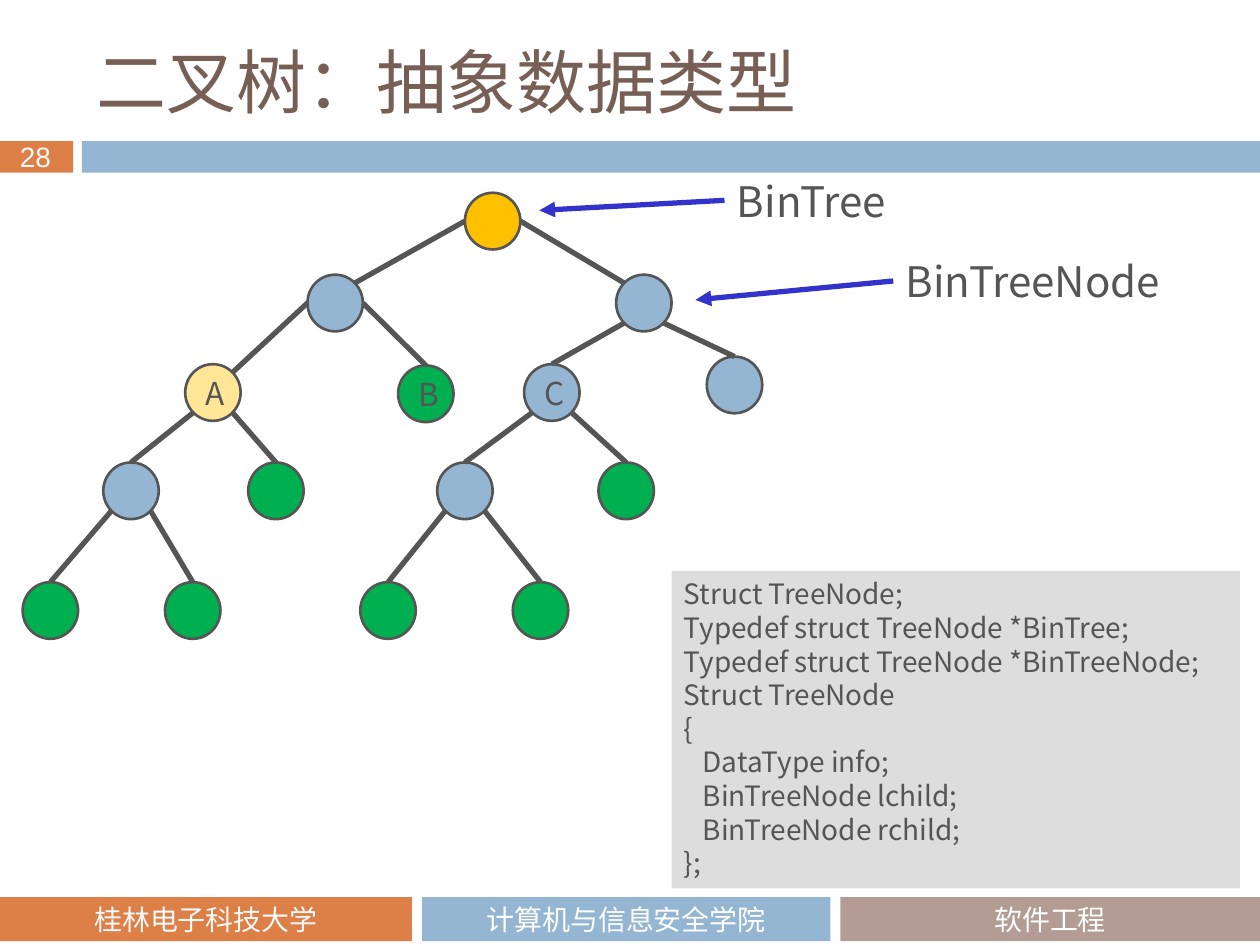
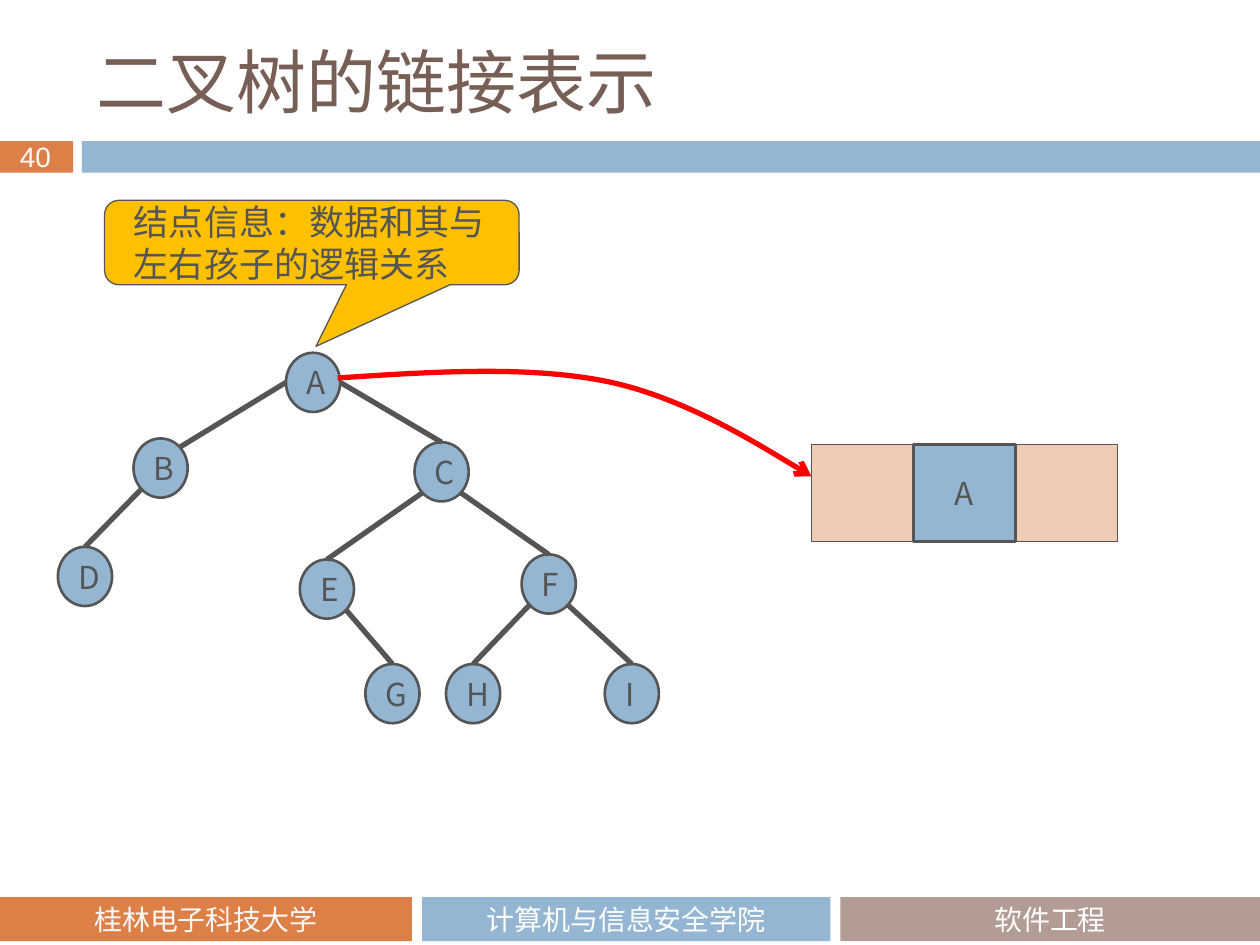
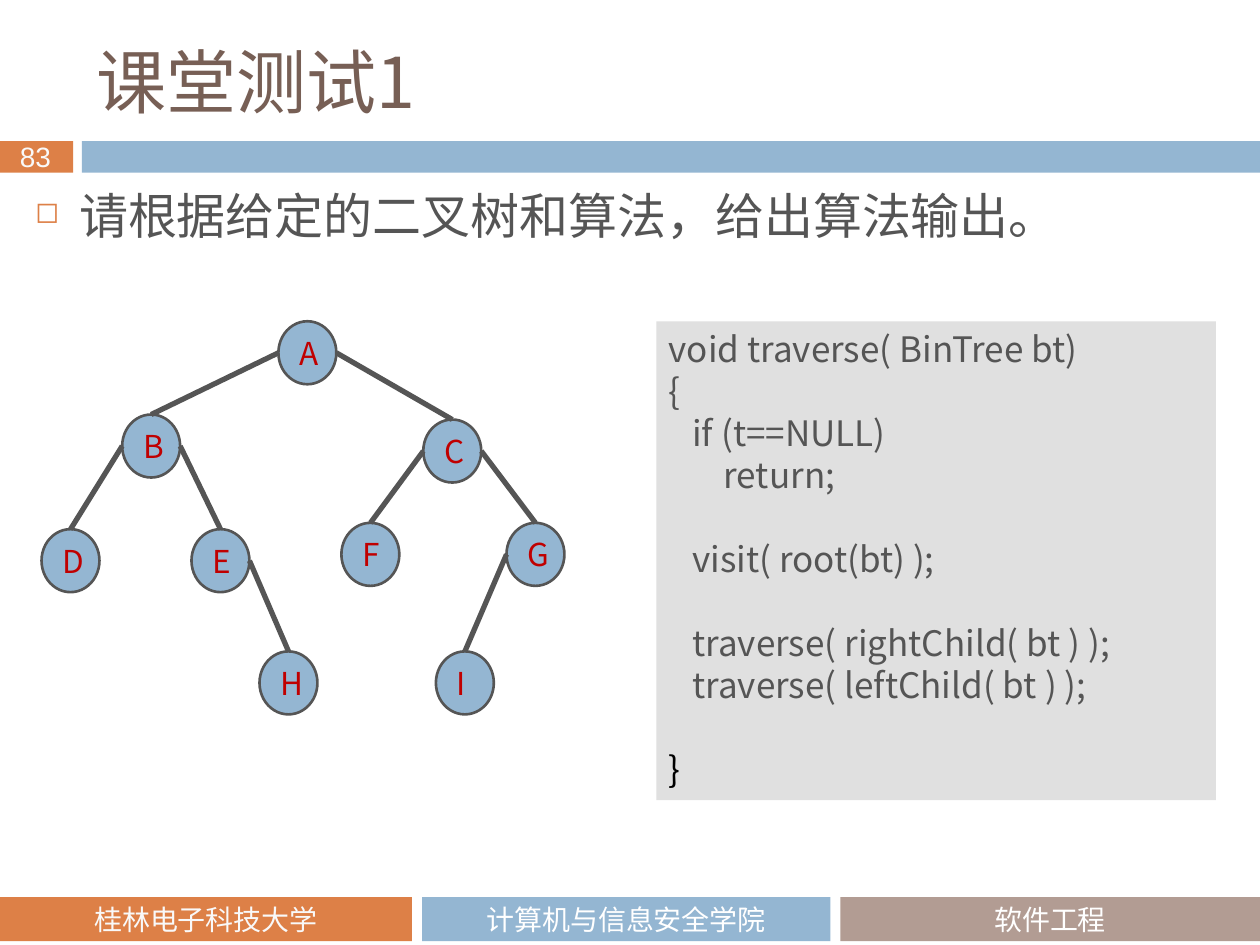
from lxml import etree
from pptx import Presentation
from pptx.dml.color import RGBColor
from pptx.enum.shapes import MSO_CONNECTOR, MSO_SHAPE
from pptx.enum.text import MSO_ANCHOR, PP_ALIGN
from pptx.oxml.ns import qn
from pptx.util import Inches, Pt

RECT = MSO_SHAPE.RECTANGLE
OVAL = MSO_SHAPE.OVAL
CALLOUT = MSO_SHAPE.ROUNDED_RECTANGULAR_CALLOUT
STRAIGHT = MSO_CONNECTOR.STRAIGHT
TOP, MIDDLE = MSO_ANCHOR.TOP, MSO_ANCHOR.MIDDLE
LEFT, CENTER = PP_ALIGN.LEFT, PP_ALIGN.CENTER

ORANGE, BLUE, TAUPE, BROWN = "DD8047", "94B6D2", "B29C93", "775F55"
INK, WHITE, PALE = "555555", "FFFFFF", "F9F9F9"
GOLD, GREEN, CREAM, PEACH = "FFC000", "00B050", "FFE697", "F1CCB5"
RED, DARK_RED, ARROW_BLUE, BLACK = "FF0000", "C00000", "3333CC", "000000"
BODY_FONT, TITLE_FONT = "Noto Sans CJK SC", "Noto Sans CJK JP"
FOOTER_FONT, NUMBER_FONT = "Calibri", "Arial"

SIDES = {
    "T": (0.5, 0), "L": (0, 0.5), "R": (1, 0.5), "TL": (0.15, 0.15),
    "TR": (0.85, 0.15), "BL": (0.15, 0.85), "BR": (0.85, 0.85),
}

FOOTERS = [
    (0, 3.27, ORANGE, "桂林电子科技大学", PALE),
    (3.35, 3.24, BLUE, "计算机与信息安全学院", WHITE),
    (6.67, 3.33, TAUPE, "软件工程", WHITE),
]

ADT_NODES = {
    "root": (3.69, 1.53, GOLD, ""),
    "left": (2.44, 2.18, BLUE, ""),
    "right": (4.89, 2.18, BLUE, ""),
    "A": (1.47, 2.89, CREAM, "A"),
    "B": (3.16, 2.9, GREEN, "B"),
    "C": (4.16, 2.89, BLUE, "C"),
    "far_right": (5.61, 2.83, BLUE, ""),
    "A_left": (0.82, 3.67, BLUE, ""),
    "A_right": (1.97, 3.67, GREEN, ""),
    "C_left": (3.47, 3.67, BLUE, ""),
    "C_right": (4.75, 3.67, GREEN, ""),
    "leaf_1": (0.18, 4.62, GREEN, ""),
    "leaf_2": (1.31, 4.62, GREEN, ""),
    "leaf_3": (2.86, 4.62, GREEN, ""),
    "leaf_4": (4.07, 4.62, GREEN, ""),
}
ADT_EDGES = [
    ("root", "L", "left", "TR"), ("root", "R", "right", "TL"),
    ("left", "L", "A", "TR"), ("left", "R", "B", "T"),
    ("right", "BL", "C", "T"), ("right", "BR", "far_right", "T"),
    ("A", "BL", "A_left", "T"), ("A", "BR", "A_right", "T"),
    ("C", "BL", "C_left", "T"), ("C", "BR", "C_right", "T"),
    ("A_left", "BL", "leaf_1", "T"), ("A_left", "BR", "leaf_2", "T"),
    ("C_left", "BL", "leaf_3", "T"), ("C_left", "BR", "leaf_4", "T"),
]
ADT_CODE = """Struct TreeNode;
Typedef struct TreeNode *BinTree;
Typedef struct TreeNode *BinTreeNode;
Struct TreeNode
{
   DataType info;
   BinTreeNode lchild;
   BinTreeNode rchild;
};"""

LINKED_PLACES = {
    "A": (2.27, 2.8), "B": (1.06, 3.48), "C": (3.29, 3.51),
    "D": (0.46, 4.34), "E": (2.38, 4.44), "F": (4.14, 4.4),
    "G": (2.9, 5.27), "H": (3.54, 5.27), "I": (4.8, 5.27),
}
LINKED_EDGES = [
    ("A", "L", "B", "TR"), ("A", "R", "C", "T"), ("B", "BL", "D", "T"),
    ("C", "BL", "E", "T"), ("C", "BR", "F", "T"), ("E", "BR", "G", "T"),
    ("F", "BL", "H", "T"), ("F", "BR", "I", "T"),
]
RECORD_CURVE = [
    (2.68, 3), (3.44, 2.95), (4.2, 2.9), (4.83, 3.03),
    (5.45, 3.16), (6.44, 3.78), (6.44, 3.78),
]

TEST_PLACES = {
    "A": (2.21, 2.55), "B": (0.97, 3.29), "C": (3.36, 3.33),
    "D": (0.33, 4.2), "E": (1.52, 4.2), "F": (2.71, 4.15),
    "G": (4.02, 4.15), "H": (2.06, 5.17), "I": (3.46, 5.17),
}
TEST_EDGES = [
    ("A", "L", "B", "T"), ("A", "R", "C", "T"), ("B", "L", "D", "T"),
    ("B", "R", "E", "T"), ("C", "L", "F", "T"), ("C", "R", "G", "T"),
    ("E", "R", "H", "T"), ("G", "L", "I", "T"),
]
TEST_CODE = """void traverse( BinTree bt)
{
   if (t==NULL)
       return;

   visit( root(bt) );

   traverse( rightChild( bt ) );
   traverse( leftChild( bt ) );

}"""


def rgb(value):
    return RGBColor.from_string(value)


def blue_nodes(places):
    return {letter: (x, y, BLUE, letter) for letter, (x, y) in places.items()}


class Deck:
    def __init__(self):
        self.prs = Presentation()
        self.prs.slide_width, self.prs.slide_height = Inches(10), Inches(7.5)
        self.slide = None

    def new_slide(self, title, number):
        self.slide = self.prs.slides.add_slide(self.prs.slide_layouts[6])
        self.shape(RECT, (0, 1.12, 0.58, 0.25), ORANGE)
        self.shape(RECT, (0.65, 1.12, 9.35, 0.25), BLUE)
        for left, width, fill, name, color in FOOTERS:
            band = self.shape(RECT, (left, 7.12, width, 0.35), fill)
            self.label(band, name, 16, color, FOOTER_FONT, MIDDLE, CENTER)
        self.text((0.06, 1.06, 0.48, 0.37), str(number), 16, PALE, NUMBER_FONT)
        self.text((0.67, 0.25, 8.92, 0.78), title, 40, BROWN, TITLE_FONT, MIDDLE)

    def shape(self, kind, box, fill, line=None, width=1.5):
        shape = self.slide.shapes.add_shape(kind, *map(Inches, box))
        shape.shadow.inherit = False
        shape.fill.solid()
        shape.fill.fore_color.rgb = rgb(fill)
        if line:
            shape.line.color.rgb = rgb(line)
            shape.line.width = Pt(width)
        else:
            shape.line.fill.background()
        return shape

    def label(self, shape, content, size, color=INK, font=BODY_FONT,
              anchor=TOP, align=LEFT, spacing=None):
        frame = shape.text_frame
        frame.word_wrap = True
        frame.vertical_anchor = anchor
        paragraph, gap = frame.paragraphs[0], 0
        for index, line in enumerate(content.split("\n")):
            if not line:
                gap += spacing
                continue
            if index:
                paragraph = frame.add_paragraph()
            layout = {"alignment": align}
            if spacing:
                layout["line_spacing"] = Pt(spacing)
            if gap:
                layout["space_before"] = Pt(gap)
            for name, value in layout.items():
                setattr(paragraph, name, value)
            run = paragraph.add_run()
            run.text = line
            for name, value in {"size": Pt(size), "name": font}.items():
                setattr(run.font, name, value)
            run.font.color.rgb = rgb(color)
            if font in (BODY_FONT, TITLE_FONT):
                etree.SubElement(run._r.get_or_add_rPr(), qn("a:ea"), typeface=font)
            gap = 0
        return shape

    def text(self, box, content, size, *style, **options):
        area = self.slide.shapes.add_textbox(*map(Inches, box))
        return self.label(area, content, size, *style, **options)

    def bullet(self, box, content):
        area = self.text(box, content, 28, spacing=30)
        properties = area.text_frame.paragraphs[0]._p.get_or_add_pPr()
        properties.set("marL", str(Inches(0.35)))
        properties.set("indent", str(-Inches(0.35)))
        color = etree.SubElement(properties, qn("a:buClr"))
        etree.SubElement(color, qn("a:srgbClr"), val=ORANGE)
        etree.SubElement(properties, qn("a:buSzPct"), val="60000")
        etree.SubElement(properties, qn("a:buChar"), char="◻")

    def code(self, box, content, size, fill):
        return self.label(self.shape(RECT, box, fill), content, size,
                          spacing=1.2 * size)

    def add_head(self, shape, head):
        outline = shape._element.spPr.find(qn("a:ln"))
        etree.SubElement(outline, qn("a:tailEnd"), type=head)

    def line(self, start, end, color=INK, head=None):
        connector = self.slide.shapes.add_connector(
            STRAIGHT, *map(Inches, (*start, *end)))
        connector.line.color.rgb = rgb(color)
        connector.line.width = Pt(3)
        if head:
            self.add_head(connector, head)
        etree.SubElement(connector._element.spPr, qn("a:effectLst"))

    def curve(self, points, color, head):
        start, *controls = [tuple(map(Inches, point)) for point in points]
        builder = self.slide.shapes.build_freeform(*start)
        builder.add_line_segments(controls, close=False)
        shape = builder.convert_to_shape()
        segments = list(shape._element.iter(qn("a:lnTo")))
        for first in range(0, len(segments), 3):
            bezier = etree.Element(qn("a:cubicBezTo"))
            segments[first].addprevious(bezier)
            for segment in segments[first:first + 3]:
                bezier.append(segment[0])
                segment.getparent().remove(segment)
        shape.fill.background()
        shape.line.color.rgb = rgb(color)
        shape.line.width = Pt(3)
        self.add_head(shape, head)
        shape.shadow.inherit = False

    def tree(self, nodes, edges, size, color=INK):
        for x, y, fill, letter in nodes.values():
            node = self.shape(OVAL, (x, y, *size), fill, INK)
            if letter:
                self.label(node, letter, 18, color, anchor=MIDDLE)

        def point(name, side):
            return [start + share * length for start, share, length
                    in zip(nodes[name][:2], SIDES[side], size)]

        for parent, parent_side, child, child_side in edges:
            self.line(point(parent, parent_side), point(child, child_side))


def abstract_type_slide(deck):
    deck.new_slide("二叉树：抽象数据类型", 28)
    deck.tree(ADT_NODES, ADT_EDGES, (0.44, 0.45))
    deck.text((5.75, 1.34, 1.48, 0.5), "BinTree", 24, spacing=28.8)
    deck.text((7.09, 1.98, 2.3, 0.5), "BinTreeNode", 24, spacing=28.8)
    deck.line((5.75, 1.59), (4.28, 1.67), ARROW_BLUE, "triangle")
    deck.line((7.09, 2.23), (5.52, 2.38), ARROW_BLUE, "triangle")
    deck.code((5.33, 4.53, 4.51, 2.52), ADT_CODE, 16, "DDDDDD")


def linked_slide(deck):
    deck.new_slide("二叉树的链接表示", 40)
    deck.tree(blue_nodes(LINKED_PLACES), LINKED_EDGES, (0.43, 0.47))
    hint = deck.shape(CALLOUT, (0.83, 1.59, 3.29, 0.67), GOLD, INK, 0.75)
    for index, value in enumerate((0.01, 1.23, 0.17)):
        hint.adjustments[index] = value
    deck.label(hint, "结点信息：数据和其与左右孩子的逻辑关系", 20,
               anchor=MIDDLE, spacing=24)
    hint.text_frame.margin_left = Inches(0.2)
    for left in (6.44, 8.06):
        deck.shape(RECT, (left, 3.53, 0.81, 0.77), PEACH, INK, 0.75)
    data = deck.shape(RECT, (7.25, 3.53, 0.81, 0.77), BLUE, INK)
    deck.label(data, "A", 18, anchor=MIDDLE, align=CENTER)
    deck.curve(RECORD_CURVE, RED, "arrow")


def test_slide(deck):
    deck.new_slide("课堂测试1", 83)
    deck.bullet((0.18, 1.47, 9.58, 0.58), "请根据给定的二叉树和算法，给出算法输出。")
    listing = deck.code((5.21, 2.55, 4.44, 3.8), TEST_CODE, 20, "E0E0E0")
    closing_brace = listing.text_frame.paragraphs[-1].runs[0]
    closing_brace.font.color.rgb = rgb(BLACK)
    deck.tree(blue_nodes(TEST_PLACES), TEST_EDGES, (0.46, 0.5), DARK_RED)


def main():
    deck = Deck()
    abstract_type_slide(deck)
    linked_slide(deck)
    test_slide(deck)
    deck.prs.save("out.pptx")


if __name__ == "__main__":
    main()
